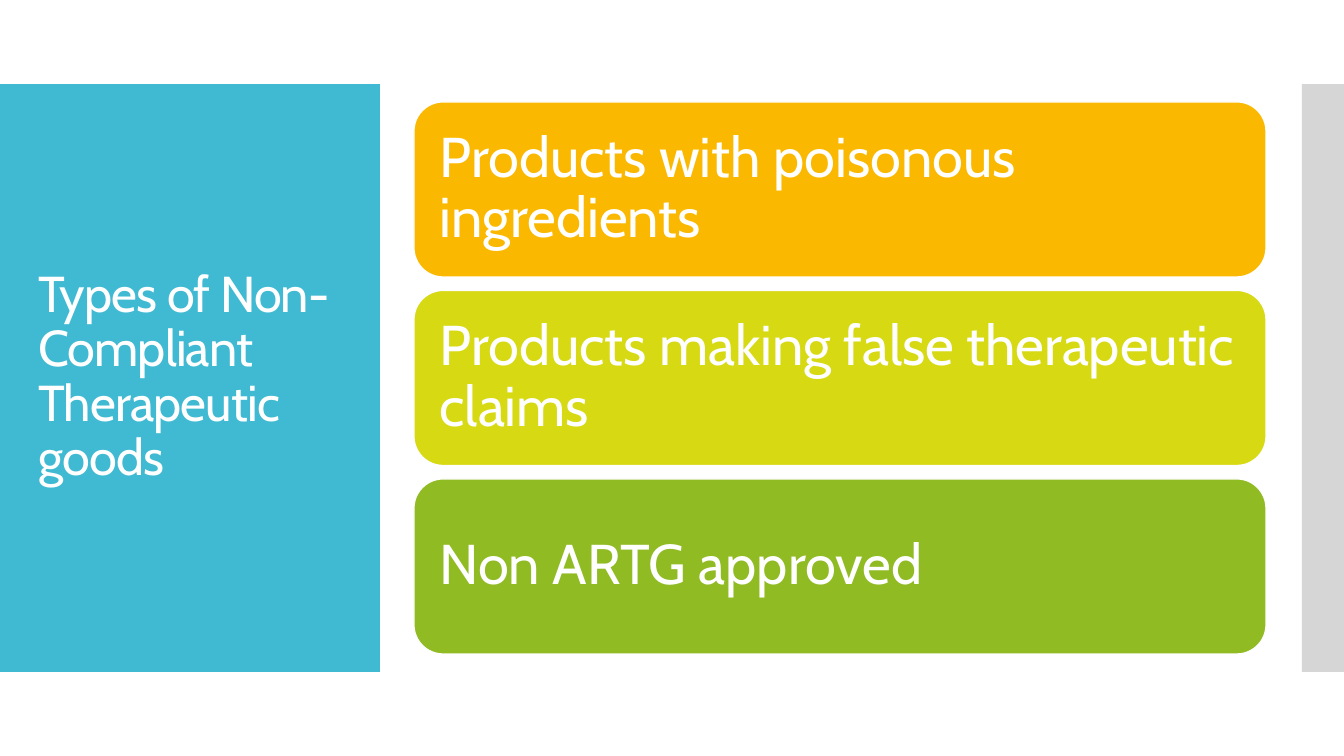
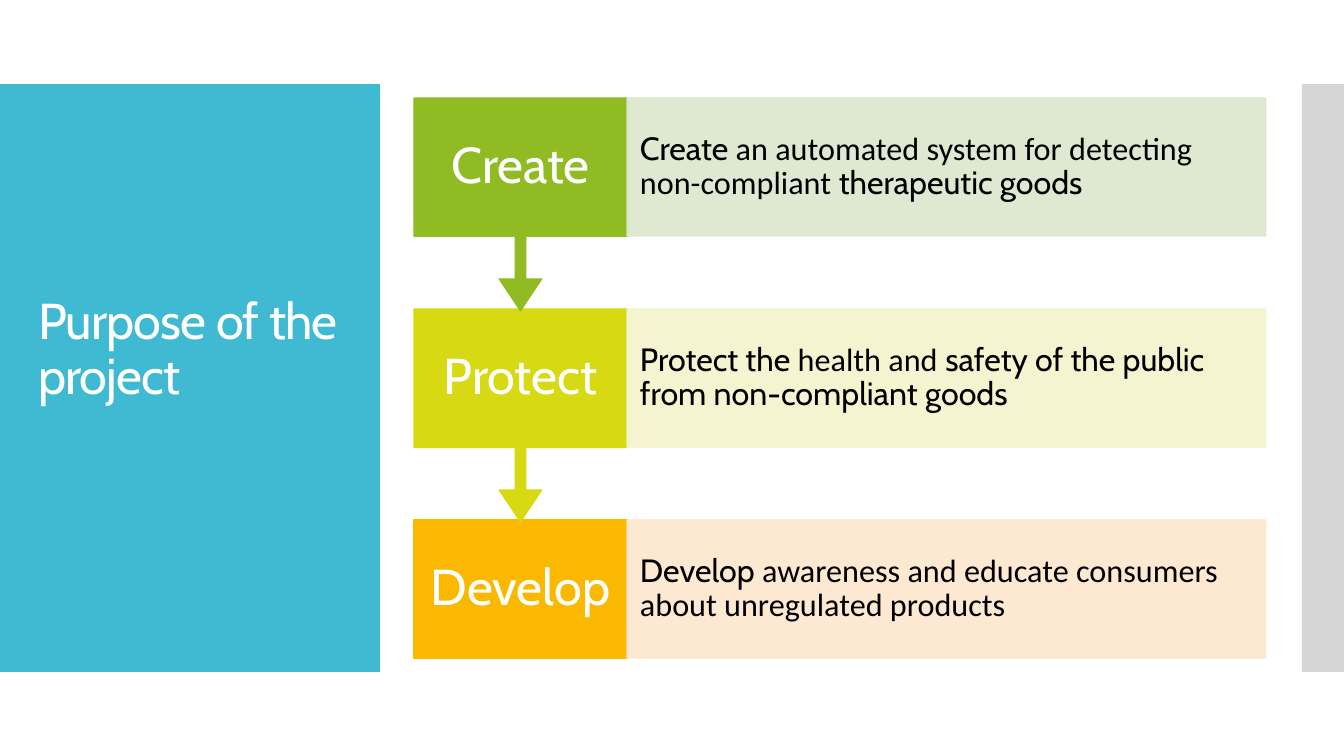
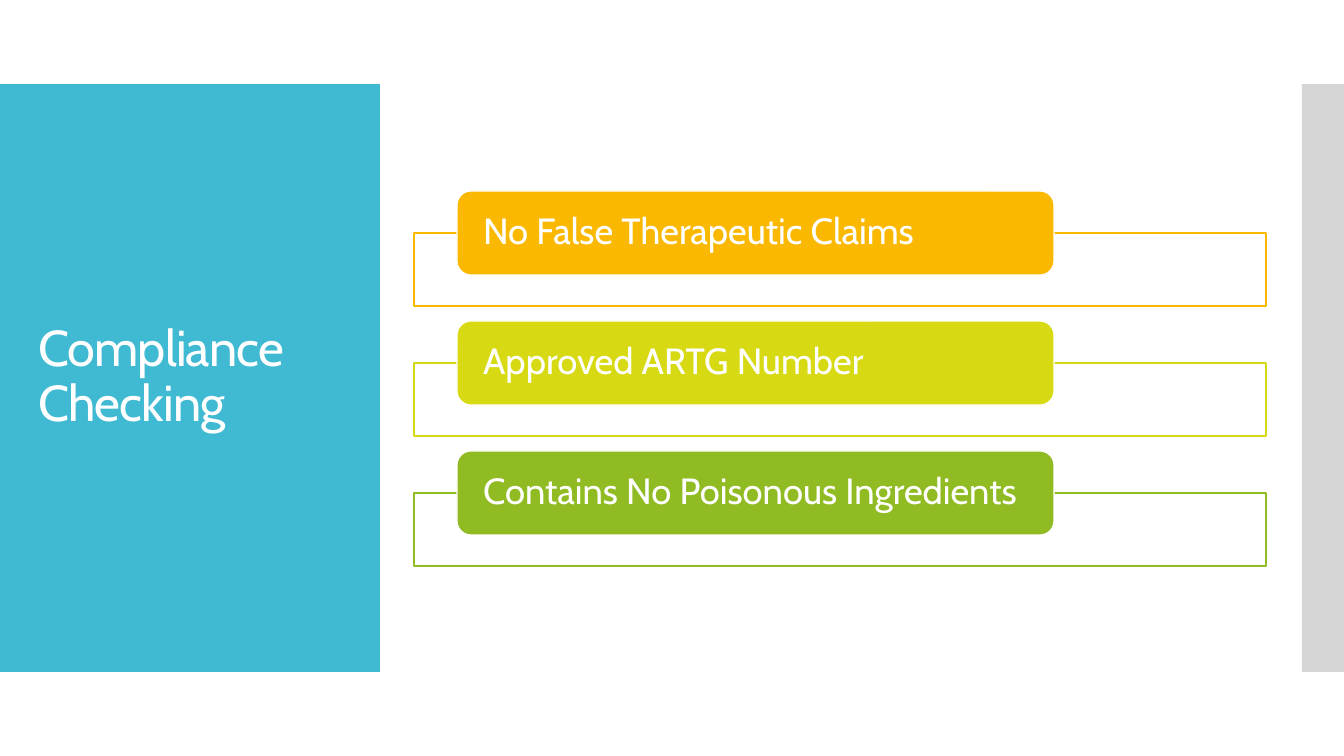
import pptx
import pptx.util
import pptx.dml.color
import pptx.enum.shapes
import pptx.enum.text
import pptx.oxml

# Content: label, colour name
TYPES = {
    "title": "Types of Non-Compliant Therapeutic goods",
    "rows": [
        ("Products with poisonous ingredients", "gold"),
        ("Products making false therapeutic claims", "lime"),
        ("Non ARTG approved", "green"),
    ],
}
# Content: label, colour names, text runs that alternate main and plain font
PURPOSE = {
    "title": "Purpose of the project",
    "lift": 54,
    "rows": [
        ("Create", "green", "mint",
         ["Create ", "an automated system for detecting non-compliant ",
          "therapeutic goods"]),
        ("Protect", "lime", "cream",
         ["Protect the ", "health and ",
          "safety of the public from non-compliant goods"]),
        ("Develop", "gold", "peach",
         ["Develop ",
          "awareness and educate consumers about unregulated products"]),
    ],
}
CHECKS = {
    "title": "Compliance Checking",
    "rows": [
        ("No False Therapeutic Claims", "gold"),
        ("Approved ARTG Number", "lime"),
        ("Contains No Poisonous Ingredients", "green"),
    ],
}

THEME = {
    "color": {
        "white": "FFFFFF", "black": "000000", "blue": "40BAD2",
        "grey": "D6D6D6", "gold": "FAB900", "lime": "D7D913",
        "green": "90BB23", "mint": "DCE7CD", "cream": "F4F3CB",
        "peach": "FDE6CC",
    },
    "size": {"title": 36, "card": 40, "step": 36, "note": 23, "check": 26},
    "font": ("Cabin", "Calibri"),
    "line": 0.85,
    "space": 0.9,
}

# Page geometry in px
PX = 914400 / 100.8
PAGE = (1344, 756)
PANEL = (0, 84, 380, 588)
EDGE = (1302, 84, 42, 588)
TITLE = (28, 124, 325, 507)
LEFT, WIDE = 414, 852

KIND = pptx.enum.shapes.MSO_SHAPE
ALIGN = pptx.enum.text.PP_ALIGN
SIDES = ("left", "top", "right", "bottom")


def emu(px):
    return pptx.util.Emu(round(px * PX))


def tone(name):
    return pptx.dml.color.RGBColor.from_string(THEME["color"][name])


def assign(item, values):
    for key, value in values.items():
        setattr(item, key, value)


def place(item, box):
    assign(item, dict(zip(("left", "top", "width", "height"), map(emu, box))))


def spread(first, last, count):
    return [first + (last - first) * i / (count - 1) for i in range(count)]


def fade(shape, percent):
    """Make the fill and line of a shape partly clear."""
    for color in shape.element.spPr.iter(pptx.oxml.ns.qn("a:srgbClr")):
        alpha = pptx.oxml.parse_xml(
            '<a:alpha xmlns:a="http://schemas.openxmlformats.org/'
            f'drawingml/2006/main" val="{percent * 1000}"/>')
        color.append(alpha)


def draw(slide, kind, box, fill, line=None):
    shape = slide.shapes.add_shape(kind, *map(emu, box))
    shape.shadow.inherit = False
    shape.fill.solid()
    shape.fill.fore_color.rgb = tone(fill)
    if line:
        shape.line.color.rgb = tone(line)
        shape.line.width = pptx.util.Pt(THEME["line"])
    else:
        shape.line.fill.background()
    return shape


def write(shape, parts, size, pads, color="white", align=ALIGN.LEFT):
    """Fill a shape with one paragraph of runs in alternating fonts."""
    frame = shape.text_frame
    assign(frame, {
        "word_wrap": True,
        "auto_size": pptx.enum.text.MSO_AUTO_SIZE.NONE,
        "vertical_anchor": pptx.enum.text.MSO_ANCHOR.MIDDLE,
    })
    assign(frame, {f"margin_{s}": emu(p) for s, p in zip(SIDES, pads)})
    para = frame.paragraphs[0]
    assign(para, {"alignment": align, "line_spacing": THEME["space"]})
    for i, text in enumerate(parts):
        run = para.add_run()
        run.text = text
        assign(run.font, {"name": THEME["font"][i % 2],
                          "size": pptx.util.Pt(THEME["size"][size])})
        run.font.color.rgb = tone(color)
    return para


def start(deck, data):
    """Add a slide with the side panel, edge band and title."""
    slide = deck.slides.add_slide(deck.slide_layouts[5])
    draw(slide, KIND.RECTANGLE, PANEL, "blue")
    draw(slide, KIND.RECTANGLE, EDGE, "grey")
    title = slide.shapes.title
    title.element.getparent().append(title.element)  # above the panel
    place(title, TITLE)
    para = write(title, [data["title"]], "title",
                 (10, 5, 10, 5 + data.get("lift", 0)))
    para.runs[0].font._rPr.set("spc", "-60")
    return slide


def cards(slide, rows):
    for top, (text, color) in zip(spread(102, 479, len(rows)), rows):
        card = draw(slide, KIND.ROUNDED_RECTANGLE, (LEFT, top, WIDE, 175),
                    color, "white")
        write(card, [text], "card", (17, 17, 17, 17))


def steps(slide, rows):
    side, tall = 213, 138
    tops = spread(98, 520, len(rows))
    # Last step first, so each arrow tip lies over the next box
    for i in reversed(range(len(rows))):
        label, color, tint, parts = rows[i]
        if i == len(rows) - 1:
            step = draw(slide, KIND.RECTANGLE, (LEFT, tops[i], side, tall),
                        color, color)
        else:
            step = draw(slide, KIND.DOWN_ARROW_CALLOUT,
                        (LEFT, tops[i], side, side), color, color)
            for j, value in enumerate((0.05, 0.1, 0.15, 0.65)):
                step.adjustments[j] = value
        write(step, [label], "step", (15, 28, 15, 28), align=ALIGN.CENTER)
        note = draw(slide, KIND.RECTANGLE,
                    (LEFT + side, tops[i], WIDE - side, tall), tint, tint)
        fade(note, 90)
        write(note, parts, "note", (13, 32, 13, 32), "black")


def checks(slide, rows):
    for top, (text, color) in zip(spread(191, 451, len(rows)), rows):
        draw(slide, KIND.RECTANGLE, (LEFT, top + 42, WIDE, 73),
             "white", color)
        pill = draw(slide, KIND.ROUNDED_RECTANGLE, (457, top, 597, 84),
                    color, "white")
        write(pill, [text], "check", (22, 0, 22, 0))


def main():
    deck = pptx.Presentation()
    assign(deck, dict(zip(("slide_width", "slide_height"), map(emu, PAGE))))
    for data, fill in ((TYPES, cards), (PURPOSE, steps), (CHECKS, checks)):
        fill(start(deck, data), data["rows"])
    deck.save("out.pptx")


if __name__ == "__main__":
    main()
